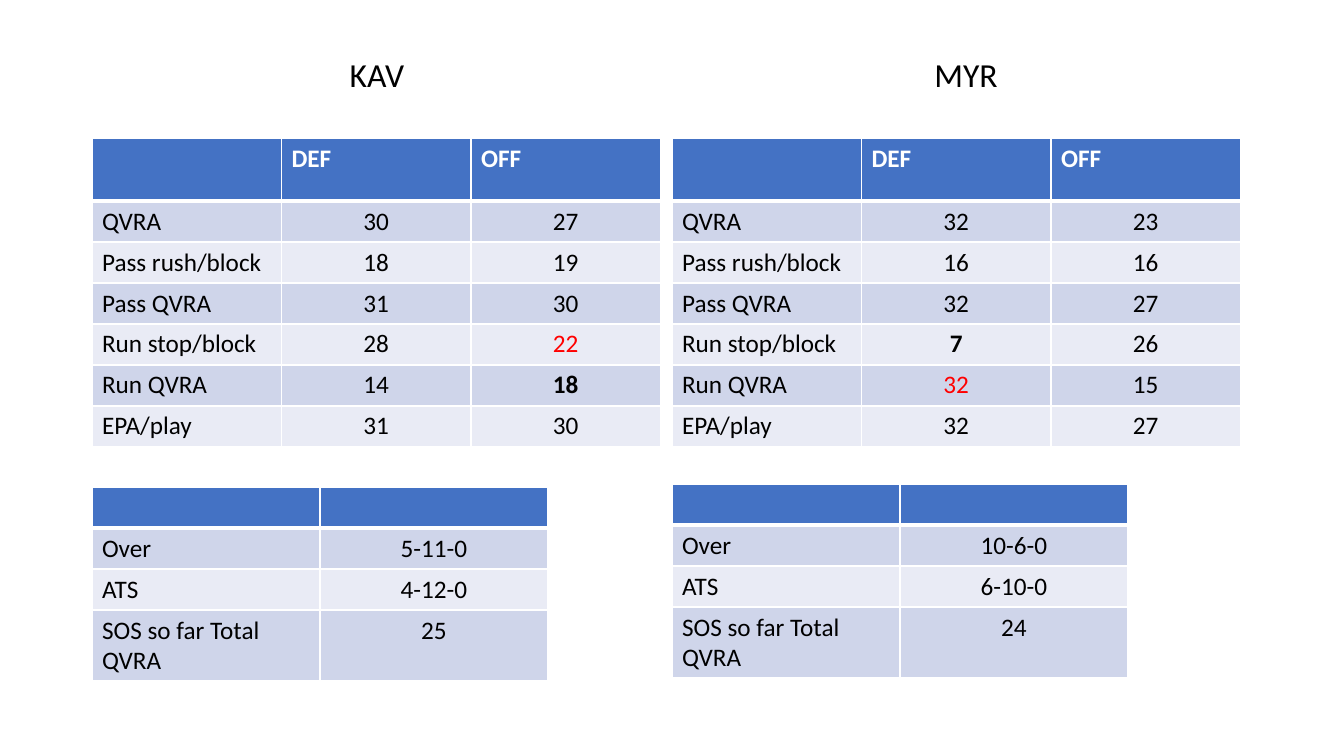
from dataclasses import dataclass

from lxml import etree
from pptx import Presentation
from pptx.dml.color import RGBColor
from pptx.enum.text import MSO_ANCHOR, PP_ALIGN
from pptx.oxml.ns import qn
from pptx.util import Pt

EMU_PER_PX = 914400 / 100.8


@dataclass(frozen=True)
class Theme:
    """Colours, font and type sizes of the slide."""
    font: str = "Calibri"
    title_size: int = 24
    cell_size: int = 18
    ink: str = "000000"
    white: str = "FFFFFF"
    header: str = "4472C4"
    bands: tuple = ("CFD5EA", "E9EBF5")
    alert: str = "FF0000"
    grid_pt: int = 1
    header_rule_pt: int = 3


THEME = Theme()

RANK_LABELS = ["QVRA", "Pass rush/block", "Pass QVRA", "Run stop/block", "Run QVRA", "EPA/play"]
RECORD_LABELS = ["Over", "ATS", "SOS so far Total QVRA"]


@dataclass(frozen=True)
class Team:
    """One team's figures; bold and alert hold (row, column) cells of the rank table."""
    name: str
    left: int
    title_left: int
    title_width: int
    record_top: int
    defense: tuple
    offense: tuple
    record: tuple
    bold: tuple
    alert: tuple


TEAMS = [
    Team("KAV", 92, 93, 568, 487, (30, 18, 31, 28, 14, 31), (27, 19, 30, 22, 18, 30),
         ("5-11-0", "4-12-0", "25"), bold=(5, 2), alert=(4, 2)),
    Team("MYR", 672, 680, 572, 484, (32, 16, 32, 7, 32, 32), (23, 16, 27, 26, 15, 27),
         ("10-6-0", "6-10-0", "24"), bold=(4, 1), alert=(5, 1)),
]


def px(value):
    """Convert pixels to EMU."""
    return round(value * EMU_PER_PX)


def write(frame, text, size, color, bold=False, align=PP_ALIGN.LEFT):
    """Put one styled run in the frame and return its paragraph."""
    paragraph = frame.paragraphs[0]
    paragraph.alignment = align
    run = paragraph.add_run()
    run.text = text
    run.font.name = THEME.font
    run.font.size = Pt(size)
    run.font.bold = bold
    run.font.color.rgb = RGBColor.from_string(color)
    return paragraph


def add_title(slide, team):
    """Add the team name, centred over its tables."""
    box = slide.shapes.add_textbox(px(team.title_left), px(9), px(team.title_width), px(91))
    frame = box.text_frame
    frame.word_wrap = True
    frame.vertical_anchor = MSO_ANCHOR.BOTTOM
    paragraph = write(frame, team.name, THEME.title_size, THEME.ink, align=PP_ALIGN.CENTER)
    paragraph.line_spacing = 0.9
    paragraph.space_before = Pt(10)


def set_borders(cell, row):
    """Draw the white grid, with a heavier rule under the header row."""
    properties = cell._tc.get_or_add_tcPr()
    heavy_side = {0: "lnB", 1: "lnT"}.get(row)
    for side in ("lnL", "lnR", "lnT", "lnB"):
        width = THEME.header_rule_pt if side == heavy_side else THEME.grid_pt
        line = etree.SubElement(properties, qn(f"a:{side}"), w=str(Pt(width)))
        fill = etree.SubElement(line, qn("a:solidFill"))
        etree.SubElement(fill, qn("a:srgbClr"), val=THEME.white)


def add_table(slide, left, top, column_width, row_heights, rows, bold=None, alert=None):
    """Add a banded table whose first row is the header."""
    columns = len(rows[0])
    table = slide.shapes.add_table(len(rows), columns, px(left), px(top),
                                   px(column_width * columns), px(sum(row_heights))).table
    for column in table.columns:
        column.width = px(column_width)
    for r, values in enumerate(rows):
        table.rows[r].height = px(row_heights[r])
        for c, value in enumerate(values):
            cell = table.cell(r, c)
            set_borders(cell, r)
            cell.fill.solid()
            fill = THEME.bands[(r - 1) % 2] if r else THEME.header
            cell.fill.fore_color.rgb = RGBColor.from_string(fill)
            if value == "":
                continue
            color = THEME.alert if (r, c) == alert else THEME.ink if r else THEME.white
            write(cell.text_frame, str(value), THEME.cell_size, color,
                  bold=r == 0 or (r, c) == bold,
                  align=PP_ALIGN.CENTER if r and c else PP_ALIGN.LEFT)


def add_team(slide, team):
    """Add a team's title, rank table and record table."""
    add_title(slide, team)
    ranks = [("", "DEF", "OFF"), *zip(RANK_LABELS, team.defense, team.offense)]
    add_table(slide, team.left, 138, 189.5, [63] + [41] * len(RANK_LABELS), ranks,
              team.bold, team.alert)
    record = [("", ""), *zip(RECORD_LABELS, team.record)]
    add_table(slide, team.left, team.record_top, 228, [41, 41, 41, 71], record)


def main():
    """Build the slide and save it."""
    presentation = Presentation()
    presentation.slide_width = px(1344)
    presentation.slide_height = px(756)
    slide = presentation.slides.add_slide(presentation.slide_layouts[6])
    for team in TEAMS:
        add_team(slide, team)
    presentation.save("out.pptx")


main()
